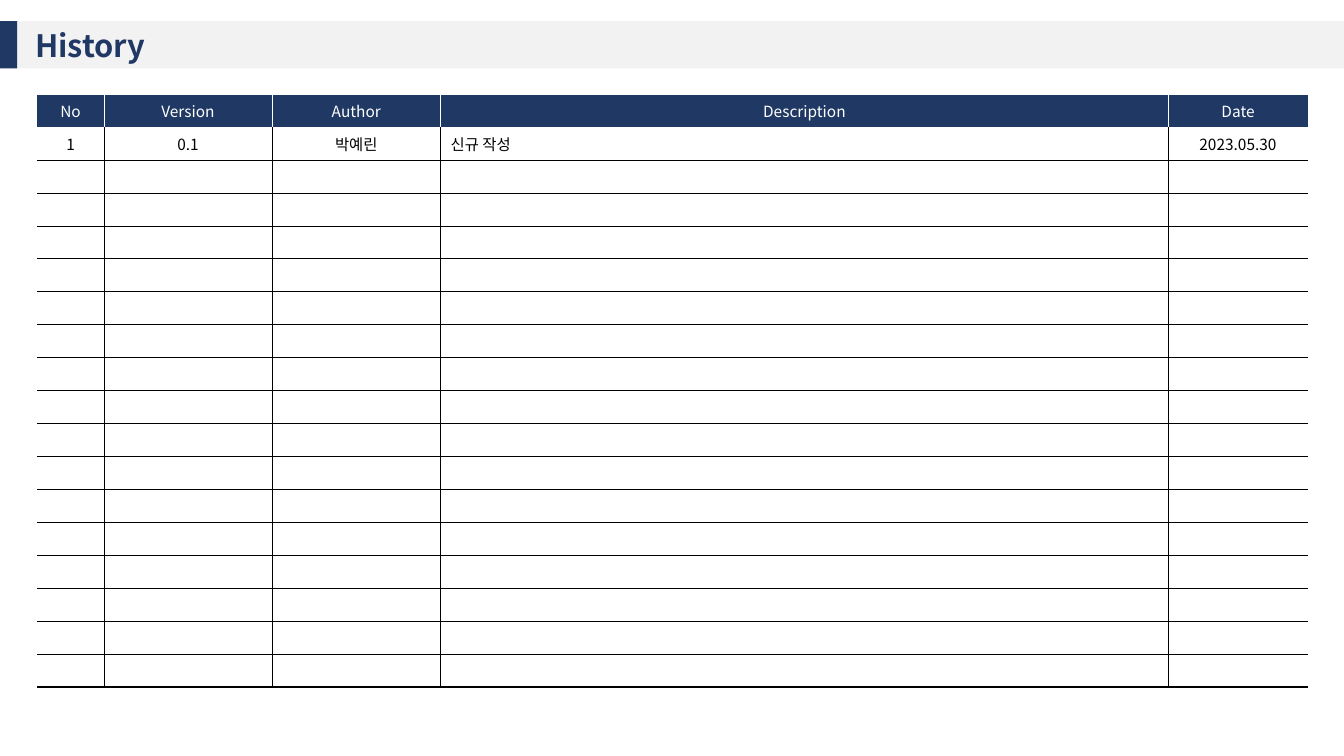
from lxml import etree
from pptx import Presentation
from pptx.dml.color import RGBColor
from pptx.enum.shapes import MSO_SHAPE
from pptx.enum.text import MSO_ANCHOR, MSO_AUTO_SIZE, PP_ALIGN
from pptx.oxml.ns import qn
from pptx.util import Pt

PX = 9144  # 100 px to the inch
FONT = "Noto Sans CJK KR"
COLORS = {"navy": "203864", "gray": "F2F2F2", "white": "FFFFFF", "black": "000000"}
RECT = MSO_SHAPE.RECTANGLE
MIDDLE = MSO_ANCHOR.MIDDLE
FIT_SHAPE = MSO_AUTO_SIZE.SHAPE_TO_FIT_TEXT
LEFT, CENTER = PP_ALIGN.LEFT, PP_ALIGN.CENTER


def add_text(p, text, size, color, bold=False):
    r = p.add_run()
    r.text = text
    for name, value in {"size": Pt(size), "name": FONT, "bold": bold}.items():
        setattr(r.font, name, value)
    r.font.color.rgb = RGBColor.from_string(COLORS[color])
    etree.SubElement(r.font._element, qn("a:ea"), typeface=FONT)


def add_border(cell, side, color, width):
    ln = etree.SubElement(cell._tc.get_or_add_tcPr(), qn(f"a:ln{side}"), w=str(Pt(width)))
    if color is None:
        etree.SubElement(ln, qn("a:noFill"))
    else:
        fill = etree.SubElement(ln, qn("a:solidFill"))
        etree.SubElement(fill, qn("a:srgbClr"), val=COLORS[color])


prs = Presentation()
prs.slide_width, prs.slide_height = 1333 * PX, 750 * PX
s = prs.slides.add_slide(prs.slide_layouts[6])

# History table
header = ["No", "Version", "Author", "Description", "Date"]
first_entry = ["1", "0.1", "박예린", "신규 작성", "2023.05.30"]
col_widths = [66, 167, 167, 722, 138]
row_count, table_height = 18, 589
rows = [header, first_entry] + [[""] * len(header)] * (row_count - 2)
last_row, last_col = row_count - 1, len(header) - 1

table = s.shapes.add_table(row_count, len(header), 37 * PX, 93 * PX,
                           sum(col_widths) * PX, table_height * PX).table
table.horz_banding = False
for col, width in zip(table.columns, col_widths):
    col.width = width * PX
for row in table.rows:
    row.height = table_height * PX // row_count

for i, values in enumerate(rows):
    line = "white" if i == 0 else "black"
    for j, value in enumerate(values):
        cell = table.cell(i, j)
        cell.vertical_anchor = MIDDLE
        add_border(cell, "L", line if j > 0 else None, 0.25)
        add_border(cell, "R", line if j < last_col else None, 0.25)
        add_border(cell, "T", "white" if i < 2 else "black", 0.25)
        add_border(cell, "B", line, 1.5 if i == last_row else 0.25)
        cell.fill.solid()
        cell.fill.fore_color.rgb = RGBColor.from_string(COLORS["navy" if i == 0 else "white"])
        p = cell.text_frame.paragraphs[0]
        p.alignment = LEFT if i > 0 and header[j] == "Description" else CENTER
        if value:
            add_text(p, value, 11, line)
        else:
            etree.SubElement(p._p, qn("a:endParaRPr"), sz="1100")

# Title bar with accent
for width, color in [(1333, "gray"), (17, "navy")]:
    sp = s.shapes.add_shape(RECT, 0, 21 * PX, width * PX, 47 * PX)
    sp.shadow.inherit = False
    sp.fill.solid()
    sp.fill.fore_color.rgb = RGBColor.from_string(COLORS[color])
    sp.line.fill.background()

# Title
tf = s.shapes.add_textbox(25 * PX, 21 * PX, 247 * PX, 47 * PX).text_frame
title_format = {"word_wrap": True, "auto_size": FIT_SHAPE, "vertical_anchor": MIDDLE,
                "margin_top": PX, "margin_bottom": PX}
for name, value in title_format.items():
    setattr(tf, name, value)
add_text(tf.paragraphs[0], "History", 22, "navy", bold=True)

prs.save("out.pptx")
